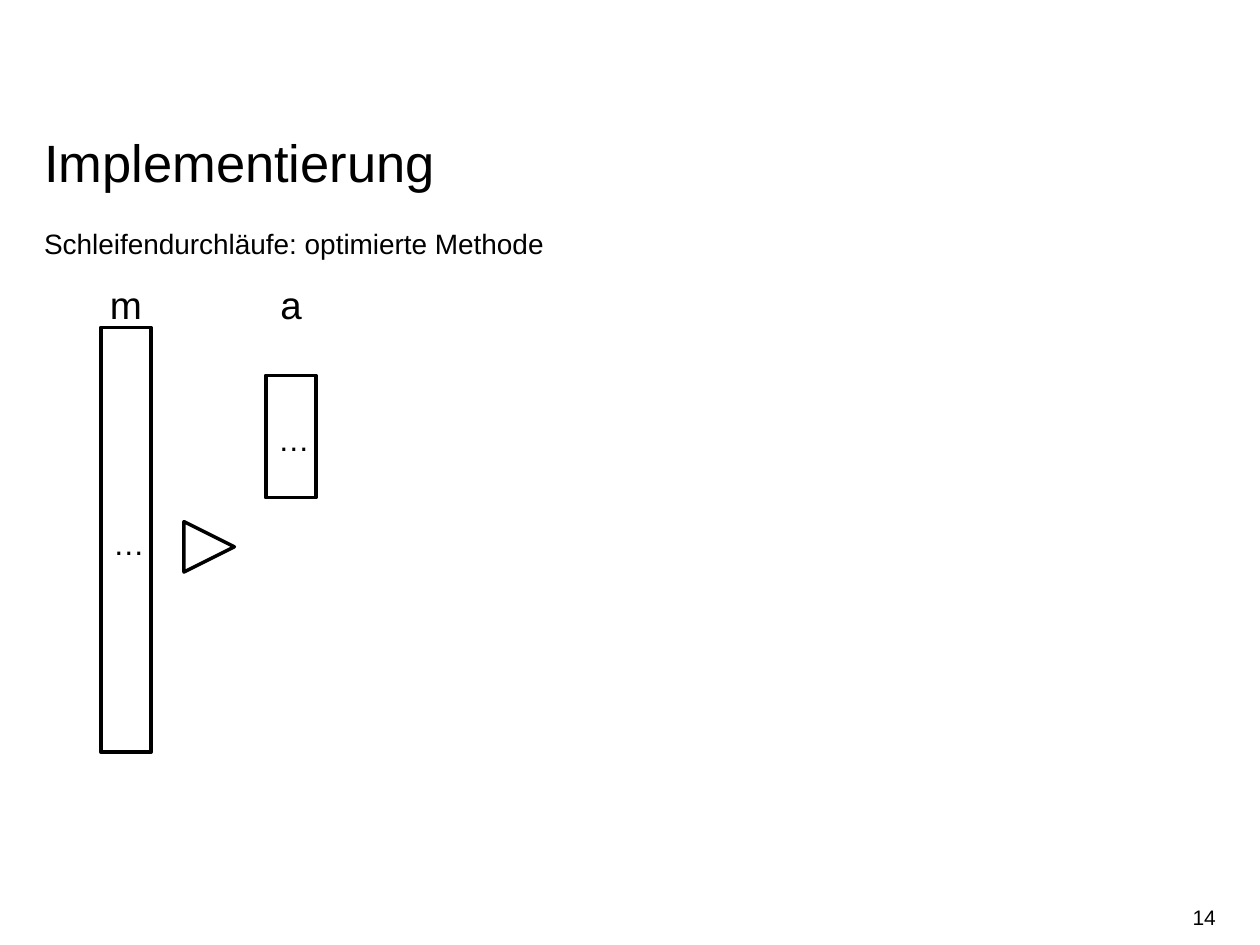
from dataclasses import dataclass

from pptx import Presentation
from pptx import util as u
from pptx.dml.color import RGBColor
from pptx.enum import shapes, text

HUES = {"ink": "000000", "paper": "FFFFFF"}
FONT = "Arial"
SIDE = 0.4
LEFT = text.PP_ALIGN.LEFT
MID = text.PP_ALIGN.CENTER
RIGHT = text.PP_ALIGN.RIGHT
TOP = text.MSO_ANCHOR.TOP
HALF = text.MSO_ANCHOR.MIDDLE


@dataclass
class Label:
    words: str
    box: tuple[float, float, float, float]
    size: int
    align: text.PP_ALIGN = LEFT
    anchor: text.MSO_ANCHOR = TOP
    pitch: float | u.Pt = 1.14


@dataclass
class Column:
    name: str
    left: float
    top: float
    height: float


def shade(key: str) -> RGBColor:
    return RGBColor.from_string(HUES[key])


def write(frame, words: str, size: int, align, anchor, pitch) -> None:
    frame.word_wrap = True
    frame.vertical_anchor = anchor
    para = frame.paragraphs[0]
    para.alignment = align
    para.line_spacing = pitch
    run = para.add_run()
    run.text = words
    run.font.name = FONT
    run.font.size = u.Pt(size)
    run.font.color.rgb = shade("ink")


def add_label(tree, item: Label) -> None:
    frame = tree.add_textbox(*map(u.Inches, item.box)).text_frame
    frame.margin_left = frame.margin_right = 0
    frame.margin_top = frame.margin_bottom = 0
    write(frame, item.words, item.size, item.align, item.anchor, item.pitch)


def add_outline(tree, kind, box: tuple[float, float, float, float]):
    shape = tree.add_shape(kind, *map(u.Inches, box))
    shape.shadow.inherit = False
    shape.fill.solid()
    shape.fill.fore_color.rgb = shade("paper")
    shape.line.color.rgb = shade("ink")
    shape.line.width = u.Pt(2)
    return shape


def add_column(slide, col: Column) -> None:
    tree = slide.shapes.add_group_shape().shapes
    box = (col.left, col.top, SIDE, col.height)
    bar = add_outline(tree, shapes.MSO_SHAPE.RECTANGLE, box)
    write(bar.text_frame, "…", 18, MID, HALF, 1.14)
    add_label(tree, Label(col.name, (col.left, 2.19, SIDE, SIDE), 22, MID, HALF))


LABELS = [
    Label("Schleifendurchläufe: optimierte Methode", (0.35, 1.76, 4.22, 0.66), 16),
    Label("14", (7.41, 7.08, 2.24, 0.4), 12, RIGHT, HALF, 1.0),
    Label("Implementierung", (0.35, 1.09, 9.31, 0.45), 30, pitch=u.Pt(32)),
]
COLUMNS = [Column("m", 0.8, 2.6, 3.37), Column("a", 2.11, 2.98, 0.97)]


def main() -> None:
    deck = Presentation()
    deck.slide_width = u.Inches(10)
    deck.slide_height = u.Inches(7.5)
    slide = deck.slides.add_slide(deck.slide_layouts[6])
    for item in LABELS:
        add_label(slide.shapes, item)
    for col in COLUMNS:
        add_column(slide, col)
    kind = shapes.MSO_SHAPE.ISOSCELES_TRIANGLE
    arrow = add_outline(slide.shapes, kind, (1.46, 4.14, SIDE, SIDE))
    arrow.rotation = 90
    deck.save("out.pptx")


if __name__ == "__main__":
    main()
